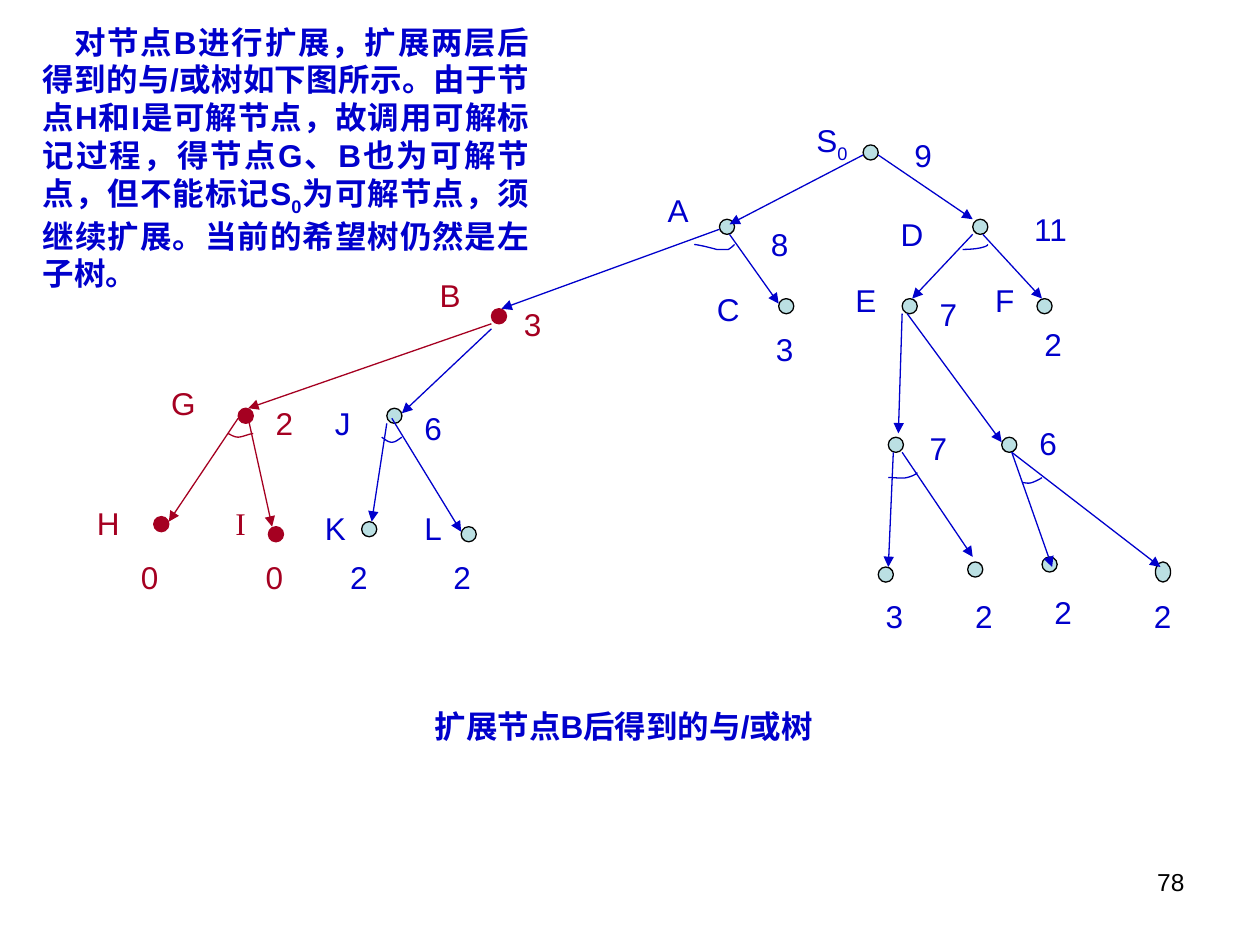
from dataclasses import dataclass

from lxml.etree import SubElement
from pptx import Presentation
from pptx.dml.color import RGBColor
from pptx.enum.shapes import MSO_CONNECTOR, MSO_SHAPE
from pptx.enum.text import MSO_AUTO_SIZE, PP_ALIGN
from pptx.oxml.ns import qn
from pptx.util import Pt

SCALE = 9144  # EMU in one px, 100 px to the inch
CURVE_STEPS = 8


@dataclass(frozen=True)
class Theme:
    open: RGBColor = RGBColor.from_string("0000CC")
    solved: RGBColor = RGBColor.from_string("A50021")
    node_fill: RGBColor = RGBColor.from_string("BBE0E3")
    black: RGBColor = RGBColor.from_string("000000")
    font: str = "Arial"
    serif: str = "Times New Roman"
    body: int = 18
    page_number: int = 14
    line: float = 0.75


THEME = Theme()
NODE = 12
LABEL_HEIGHT = 40

EXPLANATION = (
    "对节点B进行扩展，扩展两层后得到的与/或树如下图所示。由于节点H和I是可解节点，"
    "故调用可解标记过程，得节点G、B也为可解节点，但不能标记S_0_为可解节点，"
    "须继续扩展。当前的希望树仍然是左子树。"
)

# Nodes: left, top
OPEN_NODES = [
    (685, 115), (571, 174), (772, 174), (618, 237), (716, 237), (823, 237),
    (705, 347), (795, 347), (697, 450), (768, 446), (827, 442),
    (307, 324), (287, 414), (366, 418),
]
TALL_NODE = (917, 446)
SOLVED_NODES = [(390, 245), (189, 324), (122, 410), (213, 418)]

# Edges: start x, start y, end x, end y
OPEN_EDGES = [
    (685, 123, 579, 178), (697, 123, 772, 174),  # S0 to A, D
    (571, 182, 398, 245), (579, 186, 618, 241),  # A to B, C
    (772, 186, 724, 237), (780, 186, 827, 237),  # D to E, F
    (716, 249, 713, 344), (720, 249, 795, 351),  # below E
    (709, 359, 705, 450), (716, 359, 772, 442),
    (803, 359, 835, 450), (803, 359, 921, 450),
    (390, 261, 319, 328),  # B to J
    (307, 336, 295, 414), (311, 332, 366, 422),  # J to K, L
]
SOLVED_EDGES = [
    (390, 257, 197, 324),  # B to G
    (189, 332, 134, 414), (197, 332, 216, 418),  # G to H, I
]

# "And" arcs: a start point, then three points for each cubic curve
OPEN_ARCS = [
    [(551, 194), (558, 195), (565, 197), (569, 198), (574, 198), (576, 198),
     (578, 198), (580, 197), (582, 195), (583, 194)],
    [(764, 198), (775, 198), (784, 196), (784, 194)],
    [(705, 379), (711, 379), (716, 380), (720, 379), (724, 378), (728, 376), (728, 375)],
    [(811, 383), (814, 383), (816, 384), (819, 383), (822, 382), (826, 380), (827, 379)],
    [(303, 347), (306, 349), (308, 351), (311, 351), (314, 351), (316, 349), (319, 347)],
]
SOLVED_ARCS = [
    [(181, 344), (183, 345), (186, 347), (189, 347), (192, 347), (196, 345), (201, 344)],
]

# Names and costs: text, left, top, width
OPEN_LABELS = [
    ("S_0", 638, 91, 55), ("9", 716, 103, 36), ("A", 520, 147, 39), ("8", 602, 174, 35),
    ("D", 705, 166, 43), ("11", 811, 162, 59), ("C", 559, 225, 39), ("3", 606, 257, 39),
    ("E", 669, 218, 32), ("7", 736, 229, 39), ("F", 780, 218, 32), ("2", 819, 253, 39),
    ("7", 728, 336, 36), ("6", 815, 332, 39),
    ("3", 693, 469, 35), ("2", 764, 469, 35), ("2", 827, 466, 43), ("2", 906, 469, 39),
    ("J", 256, 316, 39), ("6", 327, 320, 34), ("K", 248, 399, 35), ("L", 327, 399, 32),
    ("2", 268, 438, 39), ("2", 350, 438, 47),
]
SOLVED_LABELS = [
    ("B", 339, 214, 36), ("3", 406, 237, 39), ("G", 126, 300, 39), ("2", 209, 316, 36),
    ("H", 67, 395, 39), ("0", 102, 438, 39), ("0", 201, 438, 35),
]


def px(*lengths):
    return [round(length * SCALE) for length in lengths]


def add_text(slide, text, box, color, size=THEME.body, font=THEME.font,
             bold=False, align=PP_ALIGN.LEFT, indent=0, grow=True):
    """Text between underscores is set as a subscript."""
    frame = slide.shapes.add_textbox(*px(*box)).text_frame
    frame.word_wrap = True
    frame.auto_size = MSO_AUTO_SIZE.SHAPE_TO_FIT_TEXT if grow else MSO_AUTO_SIZE.NONE
    paragraph = frame.paragraphs[0]
    paragraph.alignment = align
    if indent:
        paragraph._p.get_or_add_pPr().set("indent", str(indent * SCALE))
    for index, piece in enumerate(text.split("_")):
        run = paragraph.add_run()
        run.text = piece
        run.font.name = font
        run.font.size = Pt(size)
        run.font.bold = bold
        run.font.color.rgb = color
        if index % 2:
            run.font._element.set("baseline", "-25000")


def add_node(slide, left, top, fill, outline, height=NODE):
    node = slide.shapes.add_shape(MSO_SHAPE.OVAL, *px(left, top, NODE, height))
    node.shadow.inherit = False
    node.fill.solid()
    node.fill.fore_color.rgb = fill
    node.line.color.rgb = outline
    node.line.width = Pt(THEME.line)


def add_edge(slide, ends, color):
    edge = slide.shapes.add_connector(MSO_CONNECTOR.STRAIGHT, *px(*ends))
    edge.line.color.rgb = color
    edge.line.width = Pt(THEME.line)
    SubElement(edge.line._get_or_add_ln(), qn("a:tailEnd"), type="triangle")
    SubElement(edge._element.spPr, qn("a:effectLst"))


def cubic(controls, t):
    weights = ((1 - t) ** 3, 3 * t * (1 - t) ** 2, 3 * t * t * (1 - t), t ** 3)
    return px(*(sum(w * p[axis] for w, p in zip(weights, controls)) for axis in (0, 1)))


def add_arc(slide, points, color):
    curve = [
        cubic(points[first:first + 4], step / CURVE_STEPS)
        for first in range(0, len(points) - 1, 3)
        for step in range(1, CURVE_STEPS + 1)
    ]
    builder = slide.shapes.build_freeform(*px(*points[0]))
    builder.add_line_segments(curve, close=False)
    arc = builder.convert_to_shape()
    arc.shadow.inherit = False
    arc.fill.background()
    arc.line.color.rgb = color
    arc.line.width = Pt(THEME.line)


def add_tree_part(slide, nodes, edges, arcs, labels, color, fill, outline):
    for left, top in nodes:
        add_node(slide, left, top, fill, outline)
    for ends in edges:
        add_edge(slide, ends, color)
    for points in arcs:
        add_arc(slide, points, color)
    for text, left, top, width in labels:
        add_text(slide, text, (left, top, width, LABEL_HEIGHT), color)


def main():
    deck = Presentation()
    deck.slide_width, deck.slide_height = px(1000, 750)
    slide = deck.slides.add_slide(deck.slide_layouts[6])

    # Page number and explanation
    add_text(slide, "78", (717, 683, 233, 52), THEME.black, THEME.page_number,
             align=PP_ALIGN.RIGHT, grow=False)
    add_text(slide, EXPLANATION, (24, 13, 406, 224), THEME.open, bold=True,
             align=PP_ALIGN.JUSTIFY, indent=25)

    # And/or tree: open part, then solved part
    add_node(slide, *TALL_NODE, THEME.node_fill, THEME.black, height=16)
    add_tree_part(slide, OPEN_NODES, OPEN_EDGES, OPEN_ARCS, OPEN_LABELS,
                  THEME.open, THEME.node_fill, THEME.black)
    add_tree_part(slide, SOLVED_NODES, SOLVED_EDGES, SOLVED_ARCS, SOLVED_LABELS,
                  THEME.solved, THEME.solved, THEME.solved)
    add_text(slide, "I", (177, 395, 35, LABEL_HEIGHT), THEME.solved, font=THEME.serif)

    # Caption
    add_text(slide, "扩展节点B后得到的与/或树", (335, 556, 335, 70), THEME.open, bold=True)

    deck.save("out.pptx")


if __name__ == "__main__":
    main()
